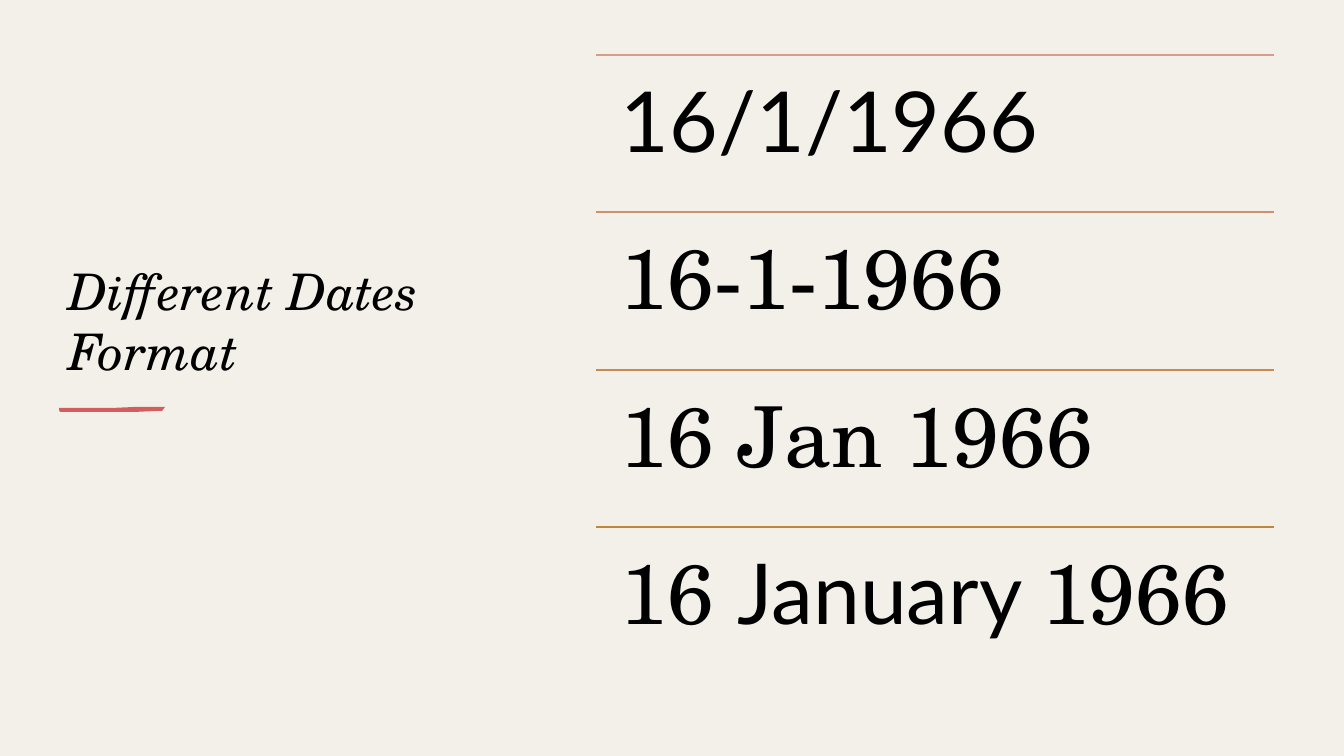
"""Build the slide that lists different date formats."""
from dataclasses import dataclass

from lxml import etree
from pptx import Presentation
from pptx import util as u
from pptx.dml.color import RGBColor
from pptx.enum import shapes, text
from pptx.oxml.ns import qn

PX = 914400 / 100.8
SLIDE_W, SLIDE_H = 1344, 756
PAPER = "F3F0E9"
SERIF, SANS = "TeX Gyre Schola", "Lato"
LEFT, TOP, WIDTH, HEIGHT, INSET = 596, 55, 678, 630, 25
UNDERLINE = [(59, 408), (75, 408), (112, 408), (134, 407), (165, 407), (162, 411),
             (157, 411), (134, 412), (108, 412), (87, 412), (60, 412), (59, 410)]


@dataclass
class DateRow:
    """A date example as (text, font) runs under a coloured rule."""
    rule: str
    runs: list[tuple[str, str]]


ROWS = [
    DateRow("D49D8C", [("16/1/1966", SANS)]),
    DateRow("CD9170", [("16-1-1966", SERIF)]),
    DateRow("C78A54", [("16 Jan 1966", SERIF)]),
    DateRow("BF873A", [("16 ", SERIF), ("January ", SANS), ("1966", SERIF)]),
]


def px(n: float) -> u.Emu:
    """Turn px into EMU."""
    return u.Emu(round(n * PX))


def paint(fill, colour: str) -> None:
    """Make a fill solid in a hex colour."""
    fill.solid()
    fill.fore_color.rgb = RGBColor.from_string(colour)


def flat(sp, colour: str) -> None:
    """Give a shape a plain fill without line or shadow."""
    sp.shadow.inherit = False
    paint(sp.fill, colour)
    sp.line.fill.background()


def add_run(p, content: str, font: str, size: int, italic: bool = False) -> None:
    """Add one black run to a paragraph."""
    r = p.add_run()
    r.text = content
    r.font.name, r.font.size, r.font.italic = font, u.Pt(size), italic
    paint(r.font.fill, "000000")


def add_paper(s) -> None:
    """Cover the slide with the paper colour, behind the title."""
    paint(s.background.fill, PAPER)
    sp = s.shapes.add_shape(shapes.MSO_SHAPE.RECTANGLE, 0, 0, px(SLIDE_W), px(SLIDE_H))
    flat(sp, PAPER)
    s.shapes.title._element.addprevious(sp._element)


def add_title(s) -> None:
    """Place and format the title placeholder."""
    sp = s.shapes.title
    sp.left, sp.top, sp.width, sp.height = px(58), px(71), px(471), px(315)
    tf = sp.text_frame
    tf.word_wrap, tf.auto_size = True, text.MSO_AUTO_SIZE.NONE
    tf.vertical_anchor = text.MSO_ANCHOR.BOTTOM
    p = tf.paragraphs[0]
    p.alignment = text.PP_ALIGN.LEFT
    add_run(p, "Different Dates Format", SERIF, 36, True)


def add_underline(s) -> None:
    """Draw the brush stroke below the title."""
    pen = s.shapes.build_freeform(*UNDERLINE[0], scale=PX)
    pen.add_line_segments(UNDERLINE[1:], close=True)
    flat(pen.convert_to_shape(), "D45E5E")


def add_row(s, row: DateRow, y: int, height: int) -> None:
    """Draw a rule with its date below."""
    rule = s.shapes.add_connector(
        shapes.MSO_CONNECTOR.STRAIGHT, px(LEFT), px(y), px(LEFT + WIDTH), px(y))
    rule.line.width = u.Pt(1)
    paint(rule.line.fill, row.rule)
    etree.SubElement(rule._element.spPr, qn("a:effectLst"))
    tf = s.shapes.add_textbox(px(LEFT), px(y), px(WIDTH), px(height)).text_frame
    tf.word_wrap = True
    tf.margin_left = tf.margin_top = tf.margin_right = tf.margin_bottom = px(INSET)
    p = tf.paragraphs[0]
    p.line_spacing = 0.9
    for content, font in row.runs:
        add_run(p, content, font, 60)


def main() -> None:
    """Build and save the slide."""
    prs = Presentation()
    prs.slide_width, prs.slide_height = px(SLIDE_W), px(SLIDE_H)
    s = prs.slides.add_slide(prs.slide_layouts[5])
    add_paper(s)
    add_title(s)
    add_underline(s)
    for i, row in enumerate(ROWS):
        add_row(s, row, TOP + i * HEIGHT // len(ROWS), HEIGHT // len(ROWS))
    prs.save("out.pptx")


if __name__ == "__main__":
    main()
